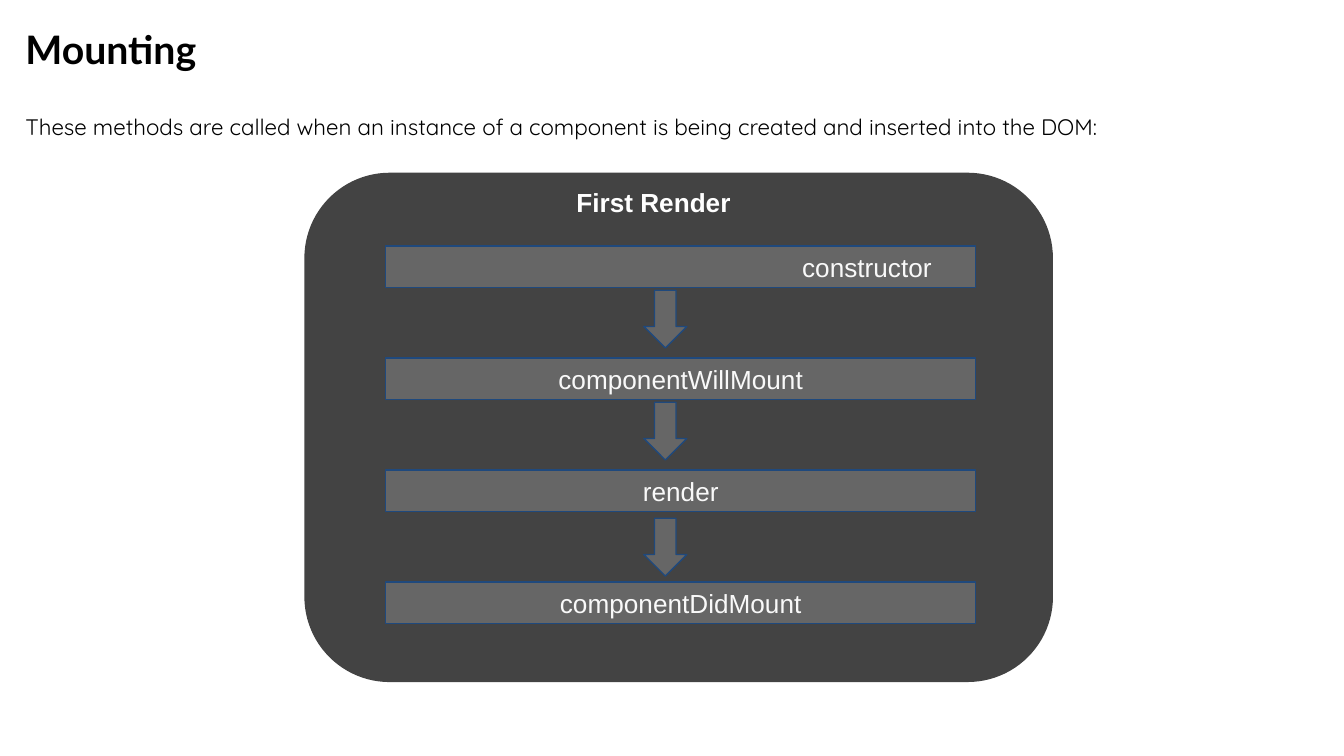
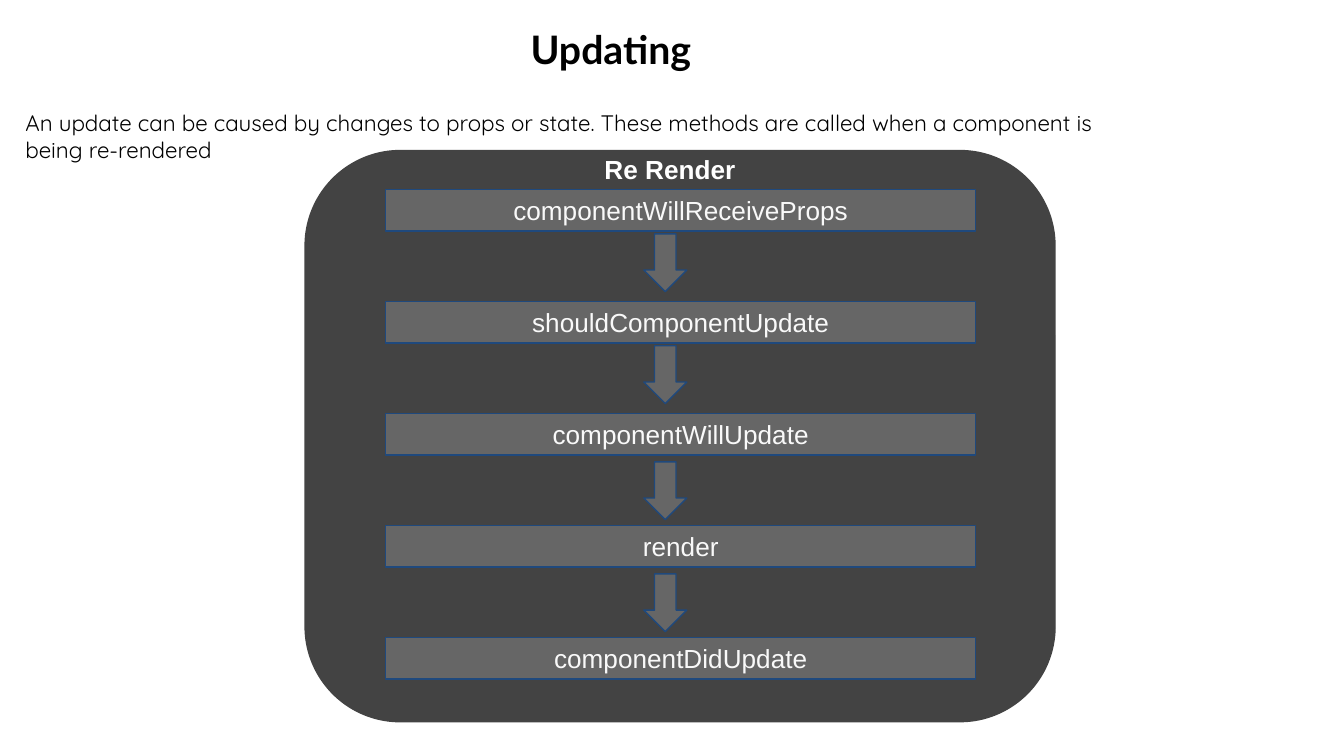
from dataclasses import dataclass

from pptx import Presentation
from pptx.dml.color import RGBColor
from pptx.enum.shapes import MSO_SHAPE
from pptx.enum.text import MSO_ANCHOR, PP_ALIGN
from pptx.util import Inches, Pt

LEFT, CENTER = PP_ALIGN.LEFT, PP_ALIGN.CENTER
TOP, MIDDLE = MSO_ANCHOR.TOP, MSO_ANCHOR.MIDDLE
RECTANGLE = MSO_SHAPE.RECTANGLE
ROUNDED = MSO_SHAPE.ROUNDED_RECTANGLE
DOWN_ARROW = MSO_SHAPE.DOWN_ARROW

BLACK = RGBColor(0x00, 0x00, 0x00)
WHITE = RGBColor(0xFF, 0xFF, 0xFF)
OFF_WHITE = RGBColor(0xF9, 0xF9, 0xF9)
PANEL_GREY = RGBColor(0x43, 0x43, 0x43)
STEP_GREY = RGBColor(0x66, 0x66, 0x66)
NAVY = RGBColor(0x1F, 0x49, 0x7D)

SLIDE_WIDTH = Inches(10)
SLIDE_HEIGHT = SLIDE_WIDTH * 9 // 16
STEP_PITCH = 2.5 / 3


@dataclass(frozen=True)
class Style:
    font: str
    size: float
    color: RGBColor
    bold: bool = False
    space_before: float = 0


TITLE = Style("Lato", 21, BLACK, bold=True)
BODY = Style("Quicksand", 12, BLACK, space_before=2.4)
HEADING = Style("Arial", 14, WHITE, bold=True)
STEP = Style("Arial", 14, OFF_WHITE)


@dataclass(frozen=True)
class Area:
    left: float
    top: float
    width: float
    height: float

    def lengths(self) -> list:
        return [Inches(n) for n in (self.left, self.top, self.width, self.height)]


@dataclass(frozen=True)
class Step:
    name: str
    indent: float = 0  # inches; an indented step is left-aligned


@dataclass(frozen=True)
class Phase:
    title: str
    intro: str
    intro_area: Area
    heading: str
    heading_top: float
    panel: Area
    first_step_top: float
    steps: tuple[Step, ...]
    title_align: PP_ALIGN = CENTER
    heading_align: PP_ALIGN = CENTER


PHASES = (
    Phase(
        title="Mounting",
        title_align=LEFT,
        intro="These methods are called when an instance of a component is "
              "being created and inserted into the DOM:",
        intro_area=Area(0.09, 0.74, 8.42, 4.83),
        heading="First Render",
        heading_align=LEFT,
        heading_top=1.29,
        panel=Area(2.27, 1.29, 5.56, 3.78),
        first_step_top=1.83,
        steps=(Step("constructor", indent=3), Step("componentWillMount"),
               Step("render"), Step("componentDidMount")),
    ),
    Phase(
        title="Updating",
        intro="An update can be caused by changes to props or state. These "
              "methods are called when a component is being re-rendered",
        intro_area=Area(0.09, 0.71, 8.42, 3.1),
        heading="Re Render",
        heading_top=1.04,
        panel=Area(2.27, 1.12, 5.58, 4.25),
        first_step_top=1.41,
        steps=(Step("componentWillReceiveProps"), Step("shouldComponentUpdate"),
               Step("componentWillUpdate"), Step("render"),
               Step("componentDidUpdate")),
    ),
)


def write(shape, text: str, style: Style, align: PP_ALIGN = LEFT,
          anchor: MSO_ANCHOR = TOP, indent: float = 0) -> None:
    frame = shape.text_frame
    frame.word_wrap = True
    frame.vertical_anchor = anchor
    frame.margin_left = frame.margin_right = Inches(0.1)
    frame.margin_top = frame.margin_bottom = Inches(0.1)
    frame.text = text
    para = frame.paragraphs[0]
    para.alignment = align
    para.space_before = Pt(style.space_before)
    if indent:
        para._p.get_or_add_pPr().set("marL", str(Inches(indent)))
    font = para.runs[0].font
    font.name, font.size, font.bold = style.font, Pt(style.size), style.bold
    font.color.rgb = style.color


def add_text(page, area: Area, text: str, style: Style, align: PP_ALIGN = LEFT) -> None:
    write(page.shapes.add_textbox(*area.lengths()), text, style, align)


def add_box(page, kind: MSO_SHAPE, area: Area, fill: RGBColor, line: RGBColor):
    box = page.shapes.add_shape(kind, *area.lengths())
    box.shadow.inherit = False
    box.fill.solid()
    box.fill.fore_color.rgb = fill
    box.line.color.rgb = line
    box.line.width = Pt(0.75)
    return box


def add_steps(page, steps: tuple[Step, ...], first_top: float) -> None:
    """Stack the step bars, with an arrow from each one to the next."""
    for index, step in enumerate(steps):
        top = first_top + index * STEP_PITCH
        bar = add_box(page, RECTANGLE, Area(2.87, top, 4.39, 0.31), STEP_GREY, NAVY)
        write(bar, step.name, STEP, LEFT if step.indent else CENTER, MIDDLE, step.indent)
        if index < len(steps) - 1:
            drop = 0.33 if index < 2 else 0.36
            add_box(page, DOWN_ARROW, Area(4.79, top + drop, 0.32, 0.43), STEP_GREY, NAVY)


def add_phase(deck, phase: Phase) -> None:
    page = deck.slides.add_slide(deck.slide_layouts[6])
    add_text(page, phase.intro_area, phase.intro, BODY)
    add_text(page, Area(0.09, 0.09, 8.91, 0.47), phase.title, TITLE, phase.title_align)
    add_box(page, ROUNDED, phase.panel, PANEL_GREY, PANEL_GREY)
    add_text(page, Area(4.19, phase.heading_top, 1.59, 0.31), phase.heading,
             HEADING, phase.heading_align)
    add_steps(page, phase.steps, phase.first_step_top)


def main() -> None:
    deck = Presentation()
    deck.slide_width, deck.slide_height = SLIDE_WIDTH, SLIDE_HEIGHT
    for phase in PHASES:
        add_phase(deck, phase)
    deck.save("out.pptx")


if __name__ == "__main__":
    main()
